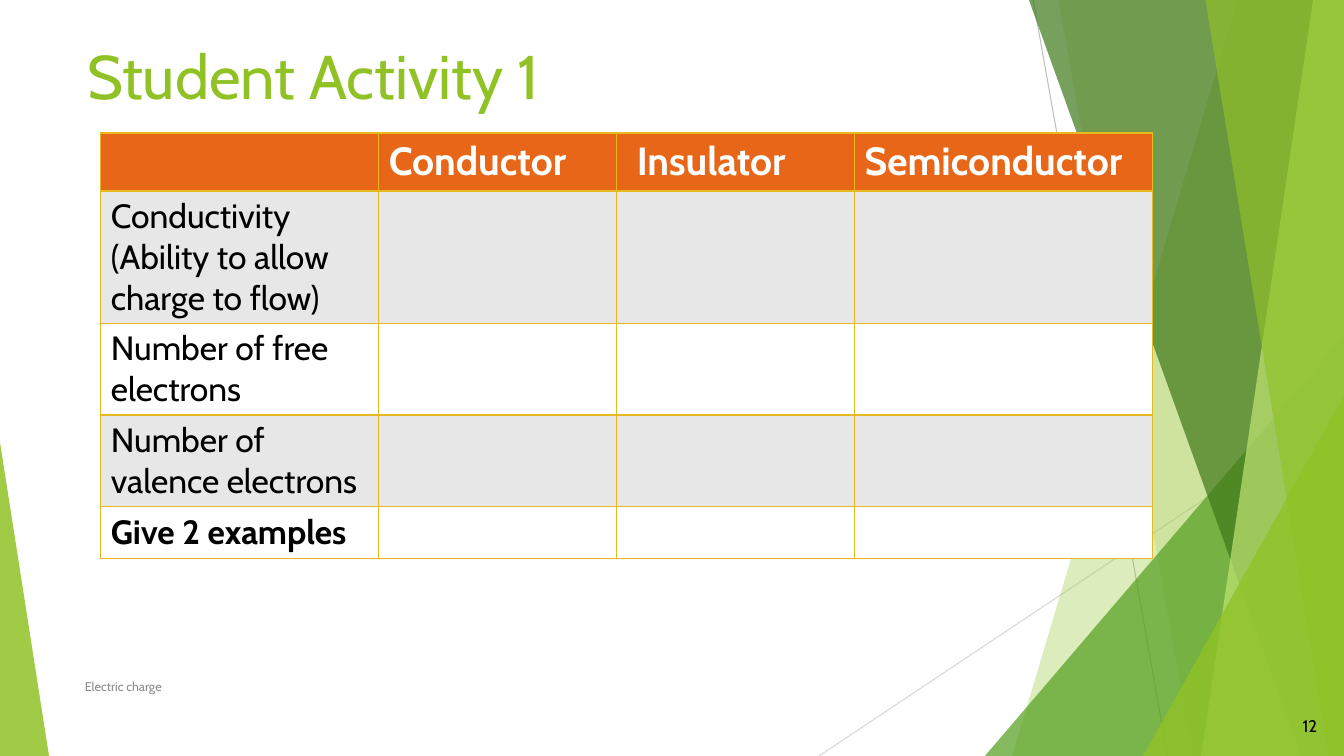
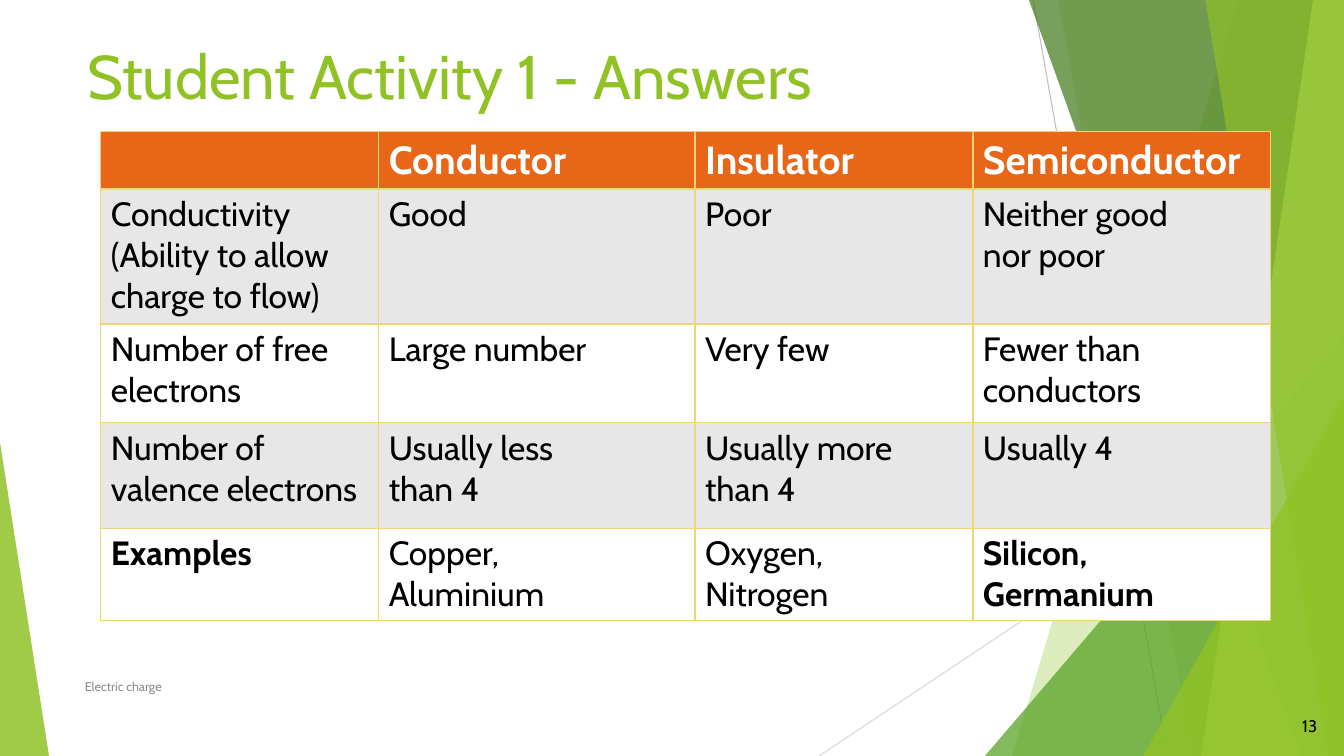
from lxml import etree
from pptx import Presentation
from pptx.dml.color import RGBColor
from pptx.enum import shapes, text
from pptx.oxml import ns, parse_xml
from pptx.util import Pt

WIDTH, HEIGHT = 960, 540
FONT = "Cabin"
GREEN, ORANGE, GREY, WHITE, BLACK = "90C226", "E76618", "E7E7E7", "FFFFFF", "000000"
FIRST_NUMBER = 12

HEADERS = ["", "Conductor", "Insulator", "Semiconductor"]
QUESTIONS = [
    "Conductivity (Ability to allow charge to flow)",
    "Number of free electrons",
    "Number of valence electrons",
]
ANSWERS = [
    ["Good", "Poor", "Neither good\nnor poor"],
    ["Large number", "Very few", "Fewer than conductors"],
    ["Usually less\nthan 4", "Usually more\nthan 4", "Usually 4"],
]
EXAMPLES = ["Copper,\nAluminium", "Oxygen,\nNitrogen", "Silicon,\nGermanium"]


def rgb(value):
    return RGBColor.from_string(value)


def write(tf, content, size=24, color=BLACK, bold=False, align=None):
    p = tf.paragraphs[0]
    p.text = content
    p.alignment = align
    for r in p.runs:
        r.font.name, r.font.size, r.font.bold = FONT, Pt(size), bold
        r.font.color.rgb = rgb(color)


def paint(sp, color, opacity):
    sp.shadow.inherit = False
    sp.line.fill.background()
    sp.fill.solid()
    sp.fill.fore_color.rgb = rgb(color)
    clr = sp.element.spPr.find(".//" + ns.qn("a:srgbClr"))
    etree.SubElement(clr, ns.qn("a:alpha"), val=str(opacity * 1000))


def add_blade(s, top_x, bottom_x, color, opacity):
    builder = s.shapes.build_freeform(Pt(top_x), 0)
    corners = [(WIDTH, 0), (WIDTH, HEIGHT), (bottom_x, HEIGHT)]
    builder.add_line_segments([(Pt(x), Pt(y)) for x, y in corners], close=True)
    paint(builder.convert_to_shape(), color, opacity)


def add_triangle(s, left, top, width, peak, color, opacity):
    sp = s.shapes.add_shape(shapes.MSO_SHAPE.ISOSCELES_TRIANGLE,
                            Pt(left), Pt(top), Pt(width), Pt(HEIGHT - top))
    sp.adjustments[0] = peak
    paint(sp, color, opacity)


def add_line(s, x1, y1, x2, y2, color):
    line = s.shapes.add_connector(shapes.MSO_CONNECTOR.STRAIGHT,
                                  Pt(x1), Pt(y1), Pt(x2), Pt(y2))
    line.line.color.rgb = rgb(color)
    line.line.width = Pt(0.75)
    etree.SubElement(line.element.spPr, ns.qn("a:effectLst"))


def decorate_layout(layout, s):
    for ph in list(layout.placeholders):
        if ph.placeholder_format.type != shapes.PP_PLACEHOLDER.TITLE:
            ph.element.getparent().remove(ph.element)
    add_line(s, 738, 0, 834, HEIGHT, "BFBFBF")
    add_line(s, WIDTH, 290, 585, HEIGHT, "D9D9D9")
    add_blade(s, 884, 723, GREEN, 30)
    add_blade(s, 756, 852, GREEN, 20)
    add_triangle(s, 703.5, 240, 256.5, 1, "54A021", 72)
    add_blade(s, 735, 929.5, "3F7819", 70)
    add_blade(s, 938, 858, "C0E474", 70)
    add_blade(s, 861, 949, GREEN, 65)
    add_triangle(s, 816.5, 283, 143.5, 1, GREEN, 80)
    add_triangle(s, 0, 316, 35, 0, GREEN, 85)
    for sp in list(s.shapes):
        if not sp.is_placeholder:
            layout.shapes.element.append(sp.element)


def add_label(s, content, left, top, width, **style):
    tf = s.shapes.add_textbox(Pt(left), Pt(top), Pt(width), Pt(29)).text_frame
    tf.word_wrap = True
    tf.vertical_anchor = text.MSO_ANCHOR.MIDDLE
    write(tf, content, **style)


def add_title(s, content):
    title = s.shapes.title
    title.left, title.top, title.width, title.height = Pt(55), Pt(23.5), Pt(721), Pt(126)
    title.text_frame.vertical_anchor = text.MSO_ANCHOR.TOP
    write(title.text_frame, content, size=44, color=GREEN, align=text.PP_ALIGN.LEFT)


def set_borders(cell, color):
    tcPr = cell._tc.get_or_add_tcPr()
    for i, side in enumerate(["lnL", "lnR", "lnT", "lnB"]):
        tcPr.insert(i, parse_xml(
            f'<a:{side} {ns.nsdecls("a")} w="{Pt(1)}"><a:solidFill>'
            f'<a:srgbClr val="{color}"/></a:solidFill></a:{side}>'))


def add_grid(s, top, widths, heights, rows, border, bold_cells):
    table = s.shapes.add_table(len(rows), len(widths), Pt(72), Pt(top),
                               Pt(sum(widths)), Pt(sum(heights))).table
    for column, width in zip(table.columns, widths):
        column.width = Pt(width)
    for i, (row, height) in enumerate(zip(rows, heights)):
        table.rows[i].height = Pt(height)
        fill = ORANGE if i == 0 else GREY if i % 2 else WHITE
        for j, content in enumerate(row):
            cell = table.cell(i, j)
            cell.fill.solid()
            cell.fill.fore_color.rgb = rgb(fill)
            set_borders(cell, border)
            if i == 0:
                write(cell.text_frame, content, size=28, color=WHITE, bold=True)
            else:
                write(cell.text_frame, content, bold=(i, j) in bold_cells)
    return table


def add_page(prs, layout, title, number):
    s = prs.slides.add_slide(layout)
    if number == FIRST_NUMBER:
        decorate_layout(layout, s)
    add_title(s, title)
    add_label(s, "Electric charge", 53.5, 476, 496, size=9, color="8C8C8C")
    add_label(s, str(number), 894, 504, 54, size=12, align=text.PP_ALIGN.RIGHT)
    return s


def main():
    prs = Presentation()
    prs.slide_width, prs.slide_height = Pt(WIDTH), Pt(HEIGHT)
    layout = prs.slide_layouts.get_by_name("Title Only")

    s = add_page(prs, layout, "Student Activity 1", FIRST_NUMBER)
    blanks = [""] * 3
    rows = [HEADERS] + [[q] + blanks for q in QUESTIONS + ["Give 2 examples"]]
    table = add_grid(s, 95, [198.5, 170, 170, 212.5], [41.5, 94.5, 65.5, 65.5, 37],
                     rows, "E6B91E", {(4, 0)})
    table.cell(0, 2).margin_left = Pt(14.4)

    s = add_page(prs, layout, "Student Activity 1 - Answers", FIRST_NUMBER + 1)
    rows = [HEADERS] + [[q] + a for q, a in zip(QUESTIONS, ANSWERS)]
    rows.append(["Examples"] + EXAMPLES)
    add_grid(s, 94, [198.5, 226, 198.5, 212.5], [41, 96.5, 70.5, 75.5, 66],
             rows, "F0D578", {(4, 0), (4, 3)})

    prs.save("out.pptx")


if __name__ == "__main__":
    main()
